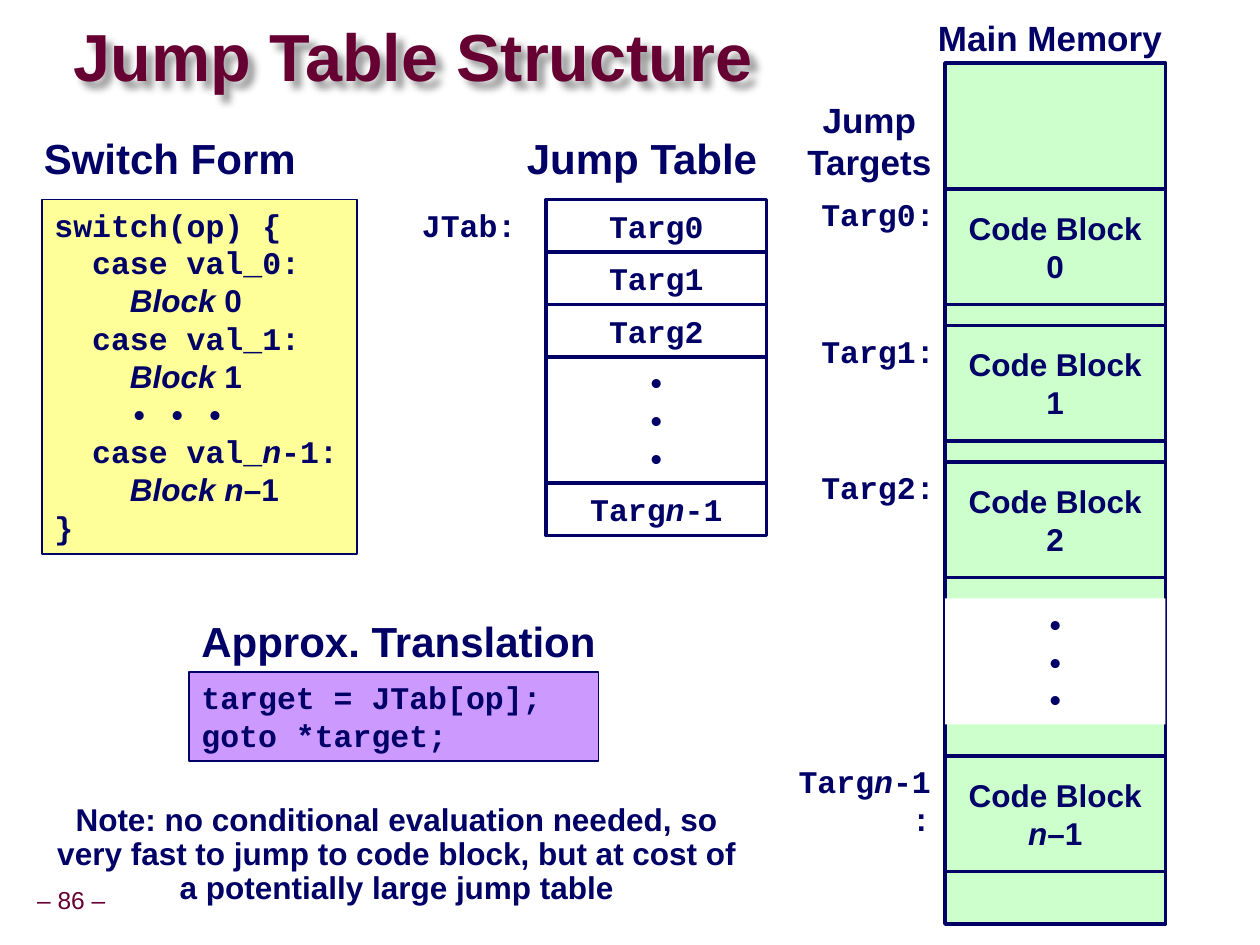
import pptx
import pptx.util
import pptx.dml.color
import pptx.enum.shapes
import pptx.enum.text
import pptx.oxml

Pt = pptx.util.Pt
ALIGN = pptx.enum.text.PP_ALIGN
ANCHOR = pptx.enum.text.MSO_ANCHOR
COLORS = {"navy": "000066", "maroon": "660033", "yellow": "FFFF99",
          "purple": "CC99FF", "green": "CCFFCC", "white": "FFFFFF"}
SANS, MONO = "Arial", "Courier New"
ITALIC = {"italic": True}
DOTS = ["•"] * 3


def color(name):
    return pptx.dml.color.RGBColor.from_string(COLORS[name])


def write(shape, lines, size=18, name=SANS, align=ALIGN.LEFT, anchor=ANCHOR.TOP,
          wrap=False, spacing=None, ink="navy", bold=True, inset=(7.2, 3.6)):
    """Each line is a string or a list of (text, font changes) runs."""
    frame = shape.text_frame
    frame.word_wrap = wrap
    frame.auto_size = pptx.enum.text.MSO_AUTO_SIZE.NONE
    frame.vertical_anchor = anchor
    frame.margin_left = frame.margin_right = Pt(inset[0])
    frame.margin_top = frame.margin_bottom = Pt(inset[1])
    for index, line in enumerate(lines):
        paragraph = frame.add_paragraph() if index else frame.paragraphs[0]
        paragraph.alignment = align
        if spacing:
            paragraph.line_spacing = spacing
        font = paragraph.font
        font.size, font.name, font.bold = Pt(size), name, bold
        font.color.rgb = color(ink)
        for text, changes in [(line, {})] if isinstance(line, str) else line:
            run = paragraph.add_run()
            run.text = text
            for key, value in changes.items():
                setattr(run.font, key, value)


def add_label(slide, box, lines, **style):
    shape = slide.shapes.add_textbox(*map(Pt, box))
    write(shape, lines, **style)


def add_box(slide, box, fill, lines=(), line_width=2, **style):
    shape = slide.shapes.add_shape(
        pptx.enum.shapes.MSO_SHAPE.RECTANGLE, *map(Pt, box))
    shape.shadow.inherit = False
    shape.fill.solid()
    shape.fill.fore_color.rgb = color(fill)
    if line_width:
        shape.line.color.rgb = color("navy")
        shape.line.width = Pt(line_width)
    else:
        shape.line.fill.background()
    write(shape, lines, **style)


def add_cell(slide, box, fill, lines, **style):
    add_box(slide, box, fill, lines, align=ALIGN.CENTER, anchor=ANCHOR.MIDDLE, **style)


def place_title(slide, box):
    title = slide.shapes.title
    title.left, title.top, title.width, title.height = map(Pt, box)
    write(title, ["Jump Table Structure"], size=38, ink="maroon", wrap=True,
          anchor=ANCHOR.MIDDLE, spacing=0.87, inset=(0, 0))
    # Soft shadow behind the title
    title.element.spPr.append(pptx.oxml.parse_xml(
        '<a:effectLst xmlns:a="http://schemas.openxmlformats.org/drawingml/2006/main">'
        '<a:outerShdw blurRad="50800" dist="63500" dir="2700000" algn="tl" rotWithShape="0">'
        '<a:srgbClr val="000000"><a:alpha val="40000"/></a:srgbClr>'
        '</a:outerShdw></a:effectLst>'))


def add_switch_form(slide, box):
    left, top, width, height = box

    def block(number):
        return [("    ", {}), ("Block", {"name": SANS, "italic": True}),
                (" " + number, {"name": SANS})]

    last_block = [("    ", {}), ("Block n", {"name": SANS, "italic": True}),
                  ("–1", {"name": SANS})]
    add_label(slide, (left - 6, top, 158, 36), ["Switch Form"], size=24)
    add_box(slide, (left, top + 42, width, height - 42), "yellow", [
        "switch(op) {",
        "  case val_0:", block("0"),
        "  case val_1:", block("1"),
        "    • • •",
        [("  case val_", {}), ("n", ITALIC), ("-1:", {})], last_block,
        "}"], line_width=1, name=MONO, wrap=True)


def add_translation(slide, box):
    left, top, width, height = box
    add_label(slide, (left, top, 241, 36), ["Approx. Translation"], size=24)
    add_box(slide, (left, top + 36, width, height - 36), "purple",
            ["target = JTab[op];", "goto *target;"],
            line_width=1, name=MONO, wrap=True)


def add_jump_table(slide, box):
    left, top, width, height = box
    row = 30
    add_label(slide, (left - 18, top, 147.5, 36), ["Jump Table"], size=24)
    first = top + 42
    add_label(slide, (left - 78, first, 69, 29), ["JTab:"], name=MONO)
    for index in range(3):
        add_cell(slide, (left, first + index * row, width, row), "white",
                 [f"Targ{index}"], name=MONO)
    dots_top, last = first + 3 * row, top + height - row
    add_cell(slide, (left, last, width, row), "white",
             [[("Targ", {}), ("n", ITALIC), ("-1", {})]], name=MONO)
    add_cell(slide, (left, dots_top, width, last - dots_top), "white", DOTS, name=MONO)


def add_memory(slide, box):
    left, top, width, height = box
    add_box(slide, box, "green")
    # Code blocks, each with its jump target
    blocks = [(72 + index * 78, str(index), f"Targ{index}:", 79, False)
              for index in range(3)]
    blocks.append((396, [("n", ITALIC), ("–1", {})],
                   [("Targ", {}), ("n", ITALIC), ("-1:", {})], 99, True))
    for offset, number, target, label_width, wrap in blocks:
        add_cell(slide, (left, top + offset, width, 66), "green", ["Code Block", number])
        right = left - 1 if wrap else left + 1.2
        add_label(slide, (right - label_width, top + offset, label_width, 29),
                  [target], name=MONO, align=ALIGN.RIGHT, wrap=wrap)
    add_cell(slide, (left, top + 306, width, 72), "white", DOTS, line_width=0, name=MONO)
    # Headings
    add_label(slide, (left - 86.4, top + 16.5, 86.4, 55.5), ["Jump", "Targets"],
              size=20, align=ALIGN.CENTER)
    add_label(slide, (left - 12, top - 30, width + 18, 31.5), ["Main Memory"],
              size=20, align=ALIGN.CENTER)


def add_note(slide, box):
    add_label(slide, box, ["Note: no conditional evaluation needed, so",
                           "very fast to jump to code block, but at cost of",
                           "a potentially large jump table"],
              align=ALIGN.CENTER, spacing=0.9)


def add_page_number(slide, box):
    add_label(slide, box, ["– 86 –"], size=14, ink="maroon", bold=False,
              align=ALIGN.CENTER, anchor=ANCHOR.MIDDLE, spacing=0.9, inset=(3.6, 3.6))


def main():
    presentation = pptx.Presentation()
    presentation.slide_width, presentation.slide_height = Pt(720), Pt(540)
    slide = presentation.slides.add_slide(presentation.slide_layouts[5])
    add_page_number(slide, (17, 504, 47.5, 22))
    place_title(slide, (42, 12, 508, 45.5))
    add_switch_form(slide, (24, 72, 180, 244.5))
    add_translation(slide, (108, 348, 234, 87))
    add_jump_table(slide, (312, 72, 126, 234))
    add_note(slide, (23, 456, 407.5, 66))
    add_memory(slide, (540, 36, 126, 492))
    presentation.save("out.pptx")


if __name__ == "__main__":
    main()
